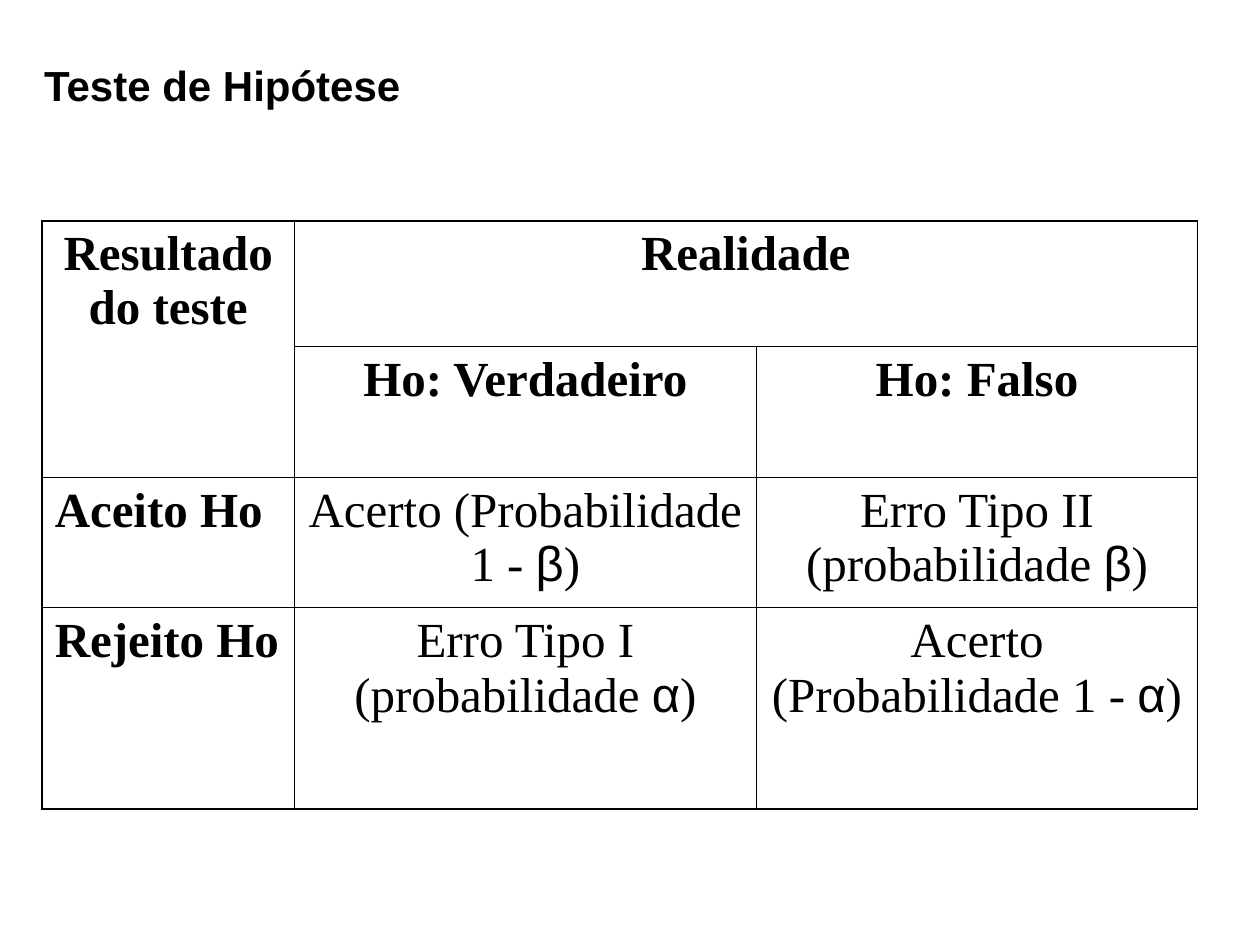
from dataclasses import dataclass
from itertools import groupby

from lxml.etree import SubElement
from pptx import Presentation
from pptx.dml.color import RGBColor
from pptx.enum.text import PP_ALIGN
from pptx.oxml.ns import qn
from pptx.table import Table, _Cell
from pptx.text.text import _Paragraph
from pptx.util import Cm, Pt


@dataclass(frozen=True)
class Theme:
    ink: str = "000000"
    sans: str = "Arial"
    serif: str = "Times New Roman"
    title_size: float = 24
    table_size: float = 28
    inner_line: float = 0.45
    outer_line: float = 1.08


@dataclass(frozen=True)
class Entry:
    row: int
    column: int
    text: str
    bold: bool = True
    align: PP_ALIGN = PP_ALIGN.CENTER
    row_span: int = 1
    column_span: int = 1


THEME = Theme()
GREEK = "αβ"
COLUMN_WIDTHS = (5.08, 9.32, 8.89)
ROW_HEIGHTS = (2.54, 2.62, 2.62, 4.06)
ENTRIES = (
    Entry(0, 0, "Resultado do teste", row_span=2),
    Entry(0, 1, "Realidade", column_span=2),
    Entry(1, 1, "Ho: Verdadeiro"),
    Entry(1, 2, "Ho: Falso"),
    Entry(2, 0, "Aceito Ho", align=PP_ALIGN.LEFT),
    Entry(2, 1, "Acerto (Probabilidade 1 - β)", bold=False),
    Entry(2, 2, "Erro Tipo II (probabilidade β)", bold=False),
    Entry(3, 0, "Rejeito Ho", align=PP_ALIGN.LEFT),
    Entry(3, 1, "Erro Tipo I (probabilidade α)", bold=False),
    Entry(3, 2, "Acerto (Probabilidade 1 - α)", bold=False),
)


def style_paragraph(paragraph: _Paragraph, size: float, bold: bool, align: PP_ALIGN) -> None:
    paragraph.alignment = align
    paragraph.font.size = Pt(size)
    paragraph.font.bold = bold
    paragraph.font.color.rgb = RGBColor.from_string(THEME.ink)


def add_title(slide, text: str) -> None:
    box = slide.shapes.add_textbox(Cm(0.64), Cm(1.07), Cm(22.86), Cm(4.37))
    box.text_frame.word_wrap = True
    paragraph = box.text_frame.paragraphs[0]
    paragraph.text = text
    style_paragraph(paragraph, THEME.title_size, True, PP_ALIGN.JUSTIFY)
    paragraph.font.name = THEME.sans


def set_borders(cell: _Cell, row: int, column: int) -> None:
    properties = cell._tc.get_or_add_tcPr()
    outer_sides = {
        "L": column == 0,
        "R": column == len(COLUMN_WIDTHS) - 1,
        "T": row == 0,
        "B": row == len(ROW_HEIGHTS) - 1,
    }
    for side, is_outer in outer_sides.items():
        width = THEME.outer_line if is_outer else THEME.inner_line
        line = SubElement(properties, qn(f"a:ln{side}"), w=str(int(Pt(width))))
        fill = SubElement(line, qn("a:solidFill"))
        SubElement(fill, qn("a:srgbClr"), val=THEME.ink)


def write_entry(table: Table, entry: Entry) -> None:
    cell = table.cell(entry.row, entry.column)
    if entry.row_span * entry.column_span > 1:
        cell.merge(table.cell(entry.row + entry.row_span - 1,
                              entry.column + entry.column_span - 1))
    paragraph = cell.text_frame.paragraphs[0]
    style_paragraph(paragraph, THEME.table_size, entry.bold, entry.align)
    paragraph.font.name = THEME.serif
    for is_greek, letters in groupby(entry.text, lambda letter: letter in GREEK):
        run = paragraph.add_run()
        run.text = "".join(letters)
        if is_greek:
            run.font.name = THEME.sans


def add_decision_table(slide) -> None:
    frame = slide.shapes.add_table(
        len(ROW_HEIGHTS), len(COLUMN_WIDTHS), Cm(0.85), Cm(4.45),
        Cm(sum(COLUMN_WIDTHS)), Cm(sum(ROW_HEIGHTS)))
    table = frame.table
    table.first_row = table.horz_banding = False
    for column, width in zip(table.columns, COLUMN_WIDTHS):
        column.width = Cm(width)
    for row_index, height in enumerate(ROW_HEIGHTS):
        table.rows[row_index].height = Cm(height)
        for column_index in range(len(COLUMN_WIDTHS)):
            cell = table.cell(row_index, column_index)
            set_borders(cell, row_index, column_index)
            cell.fill.background()
    for entry in ENTRIES:
        write_entry(table, entry)


def main() -> None:
    """Build the hypothesis test slide."""
    presentation = Presentation()
    presentation.slide_width, presentation.slide_height = Cm(25.4), Cm(19.05)
    slide = presentation.slides.add_slide(presentation.slide_layouts[6])
    add_title(slide, "Teste de Hipótese")
    add_decision_table(slide)
    presentation.save("out.pptx")


if __name__ == "__main__":
    main()
